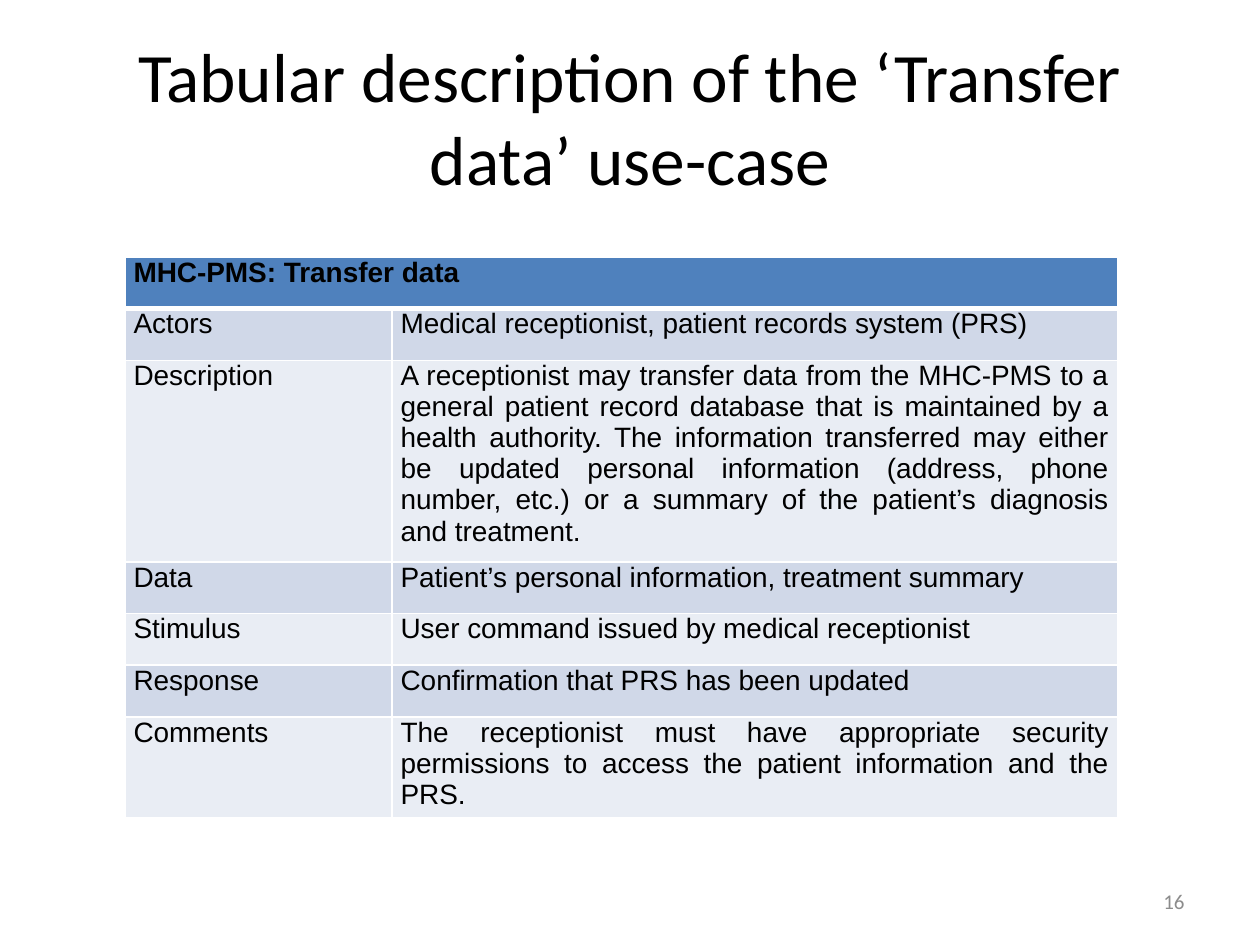
from dataclasses import dataclass

import pptx
import pptx.dml.color
import pptx.enum.text
import pptx.oxml
import pptx.oxml.ns
import pptx.util
from pptx.util import Inches

Align = pptx.enum.text.PP_ALIGN
Anchor = pptx.enum.text.MSO_ANCHOR


@dataclass(frozen=True)
class TextStyle:
    font: str
    size: float
    color: str
    align: Align
    bold: bool = False


@dataclass(frozen=True)
class Theme:
    title: TextStyle = TextStyle("Calibri", 39.6, "000000", Align.CENTER)
    header: TextStyle = TextStyle("Arial", 16, "000000", Align.JUSTIFY, True)
    body: TextStyle = TextStyle("Arial", 16, "000000", Align.JUSTIFY)
    number: TextStyle = TextStyle("Calibri", 12, "8C8C8C", Align.RIGHT)
    header_fill: str = "4F81BD"
    band_fills: tuple[str, str] = ("D0D8E8", "E9EDF4")
    border: str = "FFFFFF"
    thin: float = 1
    thick: float = 3


@dataclass(frozen=True)
class Box:
    left: float
    top: float
    width: float
    height: float


@dataclass(frozen=True)
class Field:
    name: str
    value: str


THEME = Theme()
COLUMN_WIDTHS = (2.12, 5.76)
ROW_HEIGHT = 0.41
CELL_MARGIN = 0.07
FIELDS = (
    Field("Actors", "Medical receptionist, patient records system (PRS)"),
    Field(
        "Description",
        "A receptionist may transfer data from the MHC-PMS to a general patient "
        "record database that is maintained by a health authority. The information "
        "transferred may either be updated personal information (address, phone "
        "number, etc.) or a summary of the patient’s diagnosis and treatment.",
    ),
    Field("Data", "Patient’s personal information, treatment summary"),
    Field("Stimulus", "User command issued by medical receptionist"),
    Field("Response", "Confirmation that PRS has been updated"),
    Field(
        "Comments",
        "The receptionist must have appropriate security permissions to access "
        "the patient information and the PRS.",
    ),
)


def write_text(text_frame, text: str, style: TextStyle) -> None:
    text_frame.text = text
    paragraph = text_frame.paragraphs[0]
    paragraph.alignment = style.align
    for run in paragraph.runs:
        run.font.name = style.font
        run.font.size = pptx.util.Pt(style.size)
        run.font.bold = style.bold
        run.font.color.rgb = pptx.dml.color.RGBColor.from_string(style.color)


def add_text(slide, box: Box, text: str, style: TextStyle) -> None:
    shape = slide.shapes.add_textbox(
        Inches(box.left), Inches(box.top), Inches(box.width), Inches(box.height)
    )
    shape.text_frame.word_wrap = True
    shape.text_frame.vertical_anchor = Anchor.MIDDLE
    write_text(shape.text_frame, text, style)


def set_borders(cell, top: float, bottom: float) -> None:
    """Draw the four cell borders; widths are in points."""
    properties = cell._tc.get_or_add_tcPr()
    widths = {"lnL": THEME.thin, "lnR": THEME.thin, "lnT": top, "lnB": bottom}
    for index, (tag, width) in enumerate(widths.items()):
        line = pptx.oxml.parse_xml(
            f'<a:{tag} {pptx.oxml.ns.nsdecls("a")} w="{pptx.util.Pt(width)}">'
            f'<a:solidFill><a:srgbClr val="{THEME.border}"/></a:solidFill></a:{tag}>'
        )
        properties.insert(index, line)


def style_cell(cell, fill: str, top: float, bottom: float) -> None:
    cell.margin_left = cell.margin_right = Inches(CELL_MARGIN)
    cell.margin_top = cell.margin_bottom = Inches(0)
    cell.fill.solid()
    cell.fill.fore_color.rgb = pptx.dml.color.RGBColor.from_string(fill)
    set_borders(cell, top, bottom)


def add_use_case_table(slide, left: float, top: float, heading: str,
                       fields: tuple[Field, ...]) -> None:
    row_count = len(fields) + 1
    table = slide.shapes.add_table(
        row_count, len(COLUMN_WIDTHS), Inches(left), Inches(top),
        Inches(sum(COLUMN_WIDTHS)), Inches(ROW_HEIGHT * row_count),
    ).table
    for column, width in zip(table.columns, COLUMN_WIDTHS):
        column.width = Inches(width)
    for row in table.rows:
        row.height = Inches(ROW_HEIGHT)

    table.cell(0, 0).merge(table.cell(0, 1))
    for cell in table.rows[0].cells:
        style_cell(cell, THEME.header_fill, THEME.thin, THEME.thick)
    write_text(table.cell(0, 0).text_frame, heading, THEME.header)

    for index, field in enumerate(fields):
        fill = THEME.band_fills[index % 2]
        top_width = THEME.thick if index == 0 else THEME.thin
        for cell, text in zip(table.rows[index + 1].cells, (field.name, field.value)):
            style_cell(cell, fill, top_width, THEME.thin)
            write_text(cell.text_frame, text, THEME.body)


def main() -> None:
    presentation = pptx.Presentation()
    presentation.slide_width = Inches(10)
    presentation.slide_height = Inches(7.5)
    slide = presentation.slides.add_slide(presentation.slide_layouts[6])
    add_text(slide, Box(0.5, 0.3, 9, 1.25),
             "Tabular description of the ‘Transfer data’ use-case", THEME.title)
    add_use_case_table(slide, 0.99, 2.04, "MHC-PMS: Transfer data", FIELDS)
    add_text(slide, Box(7.17, 6.95, 2.33, 0.4), "16", THEME.number)
    presentation.save("out.pptx")


if __name__ == "__main__":
    main()
